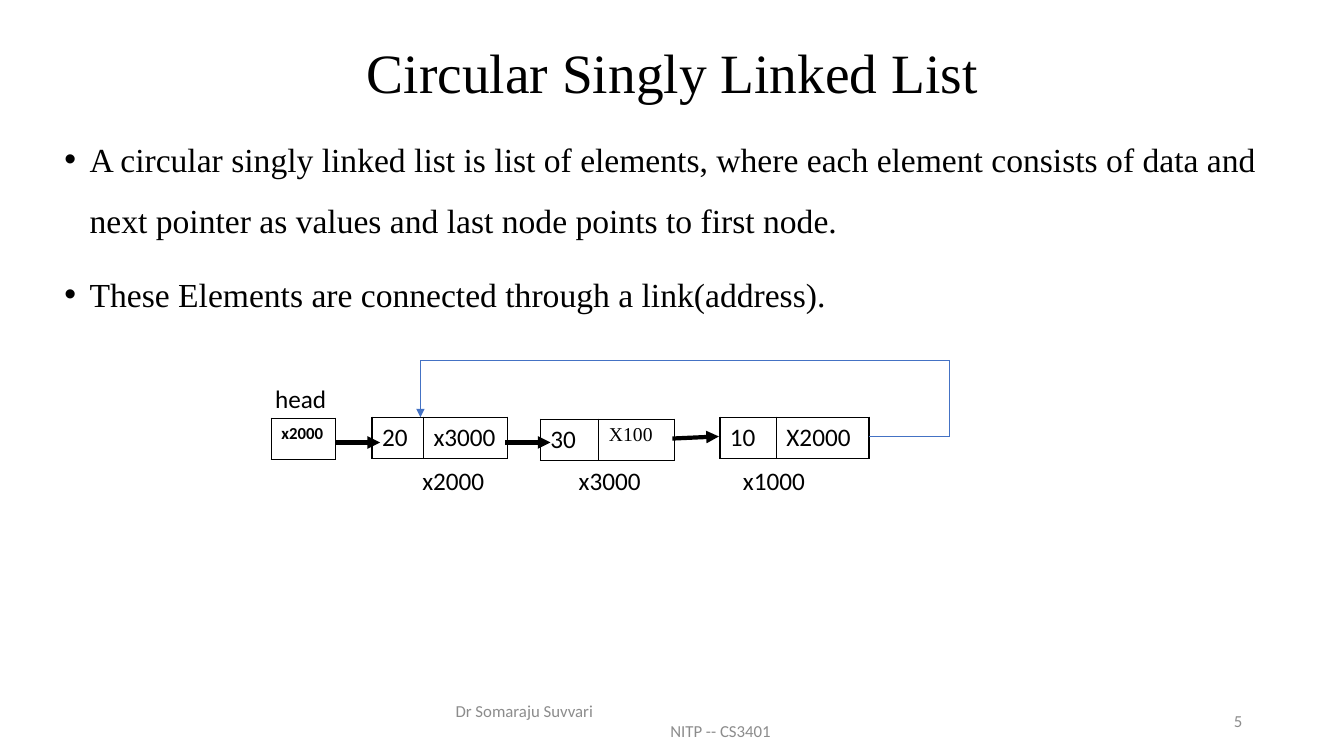
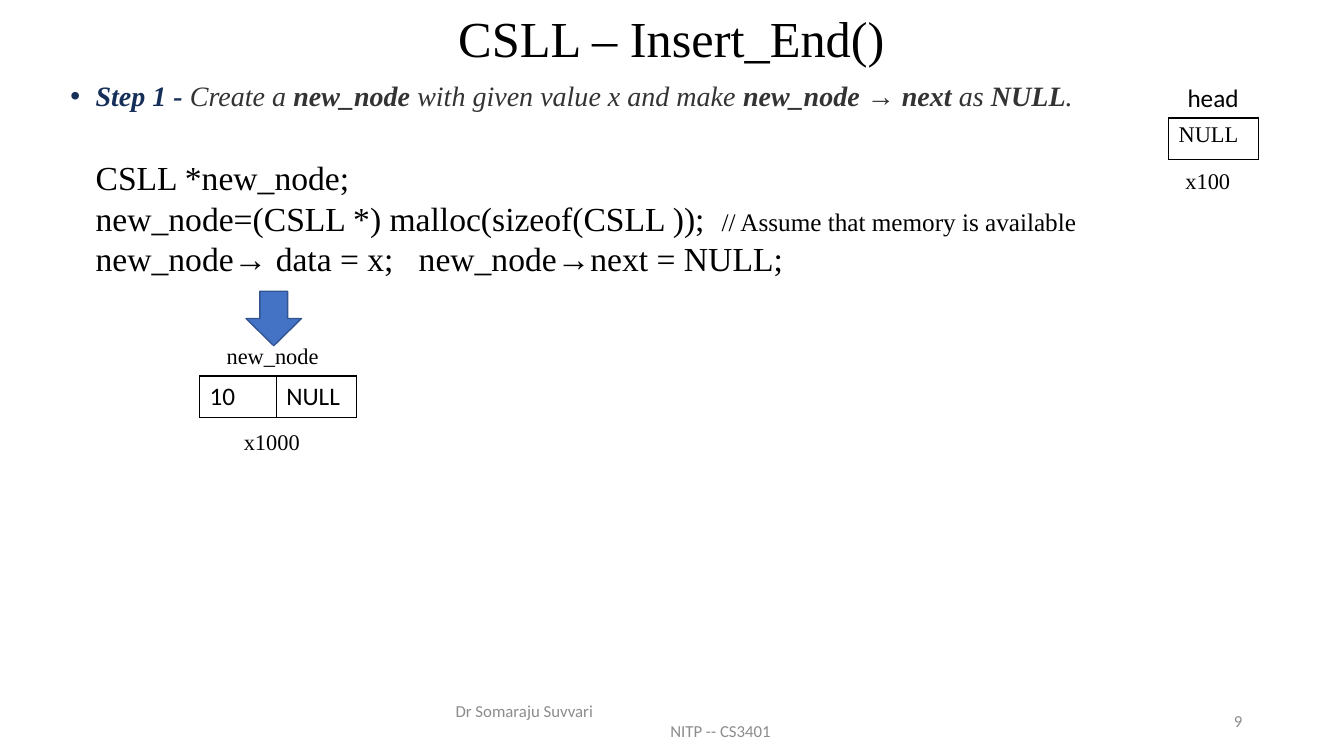
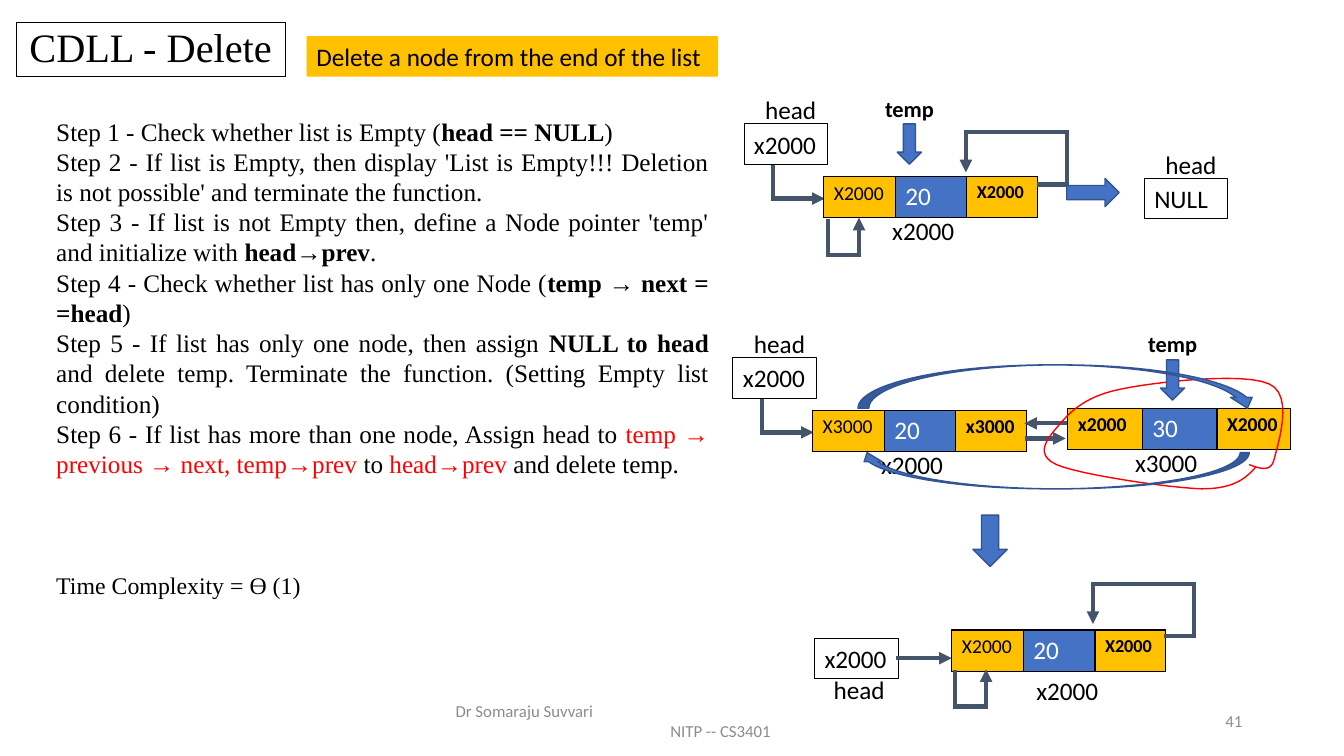
from dataclasses import dataclass
from itertools import pairwise
from typing import Optional

from lxml import etree
from pptx import Presentation
from pptx.dml.color import RGBColor
from pptx.enum.shapes import MSO_CONNECTOR, MSO_SHAPE
from pptx.enum.text import MSO_ANCHOR, MSO_AUTO_SIZE, PP_ALIGN
from pptx.oxml.ns import qn
from pptx.util import Inches, Pt

BLACK = RGBColor(0x00, 0x00, 0x00)
WHITE = RGBColor(0xFF, 0xFF, 0xFF)
GRAY = RGBColor(0x8C, 0x8C, 0x8C)
DARK_GRAY = RGBColor(0x33, 0x33, 0x33)
NAVY = RGBColor(0x16, 0x2F, 0x59)
BLUE = RGBColor(0x44, 0x72, 0xC4)
BLUE_EDGE = RGBColor(0x32, 0x54, 0x91)
SLATE = RGBColor(0x44, 0x54, 0x6A)
GOLD = RGBColor(0xFF, 0xC0, 0x00)
RED = RGBColor(0xFF, 0x00, 0x00)
SERIF = "Times New Roman"
SANS = "Calibri"

LEFT, CENTER = PP_ALIGN.LEFT, PP_ALIGN.CENTER
RIGHT, JUSTIFY = PP_ALIGN.RIGHT, PP_ALIGN.JUSTIFY
TOP, MIDDLE = MSO_ANCHOR.TOP, MSO_ANCHOR.MIDDLE
NO_FIT = MSO_AUTO_SIZE.NONE
STRAIGHT = MSO_CONNECTOR.STRAIGHT
DOWN_ARROW, RIGHT_ARROW = MSO_SHAPE.DOWN_ARROW, MSO_SHAPE.RIGHT_ARROW
CURVED_ARROW = MSO_SHAPE.CURVED_DOWN_ARROW
TITLE_ONLY = 5
ROW_HEIGHT = 0.41
RIGHT_SIDE = 3


@dataclass
class Span:
    text: str
    bold: Optional[bool] = None
    color: Optional[RGBColor] = None
    size: Optional[float] = None


@dataclass
class Cell:
    text: str
    size: float = 18
    font: str = SANS
    bold: bool = False
    color: RGBColor = BLACK
    fill: Optional[RGBColor] = None


def style(font, size, name, color, bold=None, italic=None):
    font.size, font.name, font.bold, font.italic = Pt(size), name, bold, italic
    font.color.rgb = color


def add_bullet(paragraph):
    properties = paragraph._p.get_or_add_pPr()
    properties.set("marL", str(Inches(0.25)))
    properties.set("indent", str(-Inches(0.25)))
    etree.SubElement(properties, qn("a:buFont"), typeface="Arial")
    etree.SubElement(properties, qn("a:buChar"), char="•")


def write(frame, paragraphs, size=18, name=SANS, color=BLACK, bold=None,
          italic=None, align=LEFT, spacing=None, bullet=False):
    """Fill a frame; a paragraph is a string or a list of Spans."""
    for index, content in enumerate(paragraphs):
        paragraph = frame.add_paragraph() if index else frame.paragraphs[0]
        if bullet:
            add_bullet(paragraph)
            if index:
                paragraph.space_before = Pt(10)
        paragraph.alignment = align
        if spacing:
            paragraph.line_spacing = spacing
        style(paragraph.font, size, name, color, bold, italic)
        for span in [Span(content)] if isinstance(content, str) else content:
            run = paragraph.add_run()
            run.text = span.text
            if span.bold is not None:
                run.font.bold = span.bold
            if span.color is not None:
                run.font.color.rgb = span.color
            if span.size is not None:
                run.font.size = Pt(span.size)


def place(shape, left, top, width, height):
    shape.left, shape.top = Inches(left), Inches(top)
    shape.width, shape.height = Inches(width), Inches(height)


def add_text(page, left, top, width, height, paragraphs, anchor=TOP, **look):
    box = page.shapes.add_textbox(
        Inches(left), Inches(top), Inches(width), Inches(height))
    box.text_frame.word_wrap = True
    box.text_frame.vertical_anchor = anchor
    write(box.text_frame, paragraphs, **look)
    return box


def add_outline(box):
    box.line.color.rgb = BLACK
    box.line.width = Pt(0.75)


def add_border(cell):
    properties = cell._tc.get_or_add_tcPr()
    for side in ("a:lnL", "a:lnR", "a:lnT", "a:lnB"):
        line = etree.SubElement(properties, qn(side), w=str(Pt(1)))
        fill = etree.SubElement(line, qn("a:solidFill"))
        etree.SubElement(fill, qn("a:srgbClr"), val=str(BLACK))


def add_node(page, left, top, widths, cells):
    """Draw a list node as a one-row table."""
    table = page.shapes.add_table(
        1, len(cells), Inches(left), Inches(top),
        Inches(sum(widths)), Inches(ROW_HEIGHT)).table
    table.first_row = table.horz_banding = False
    for index, (width, content) in enumerate(zip(widths, cells)):
        table.columns[index].width = Inches(width)
        cell = table.cell(0, index)
        add_border(cell)
        if content.fill is None:
            cell.fill.background()
        else:
            cell.fill.solid()
            cell.fill.fore_color.rgb = content.fill
        write(cell.text_frame, [content.text], content.size, content.font,
              content.color, content.bold)


def add_double_node(page, left, top, previous, data, following, width=0.71):
    """Draw a doubly linked node: previous link, data, next link."""
    previous.fill = following.fill = GOLD
    following.bold = True
    add_node(page, left, top, [width, width, width - 0.01],
             [previous, Cell(data, color=WHITE, fill=BLUE), following])


def add_path(page, points, color=SLATE, width=3, arrow=True):
    """Join the points with straight lines; the last one may have an arrowhead."""
    lines = []
    for (x1, y1), (x2, y2) in pairwise(points):
        line = page.shapes.add_connector(
            STRAIGHT, Inches(x1), Inches(y1), Inches(x2), Inches(y2))
        line.line.color.rgb = color
        line.line.width = Pt(width)
        line.line._get_or_add_ln().set("cap", "sq")
        etree.SubElement(line._element.spPr, qn("a:effectLst"))
        lines.append(line)
    if arrow:
        outline = lines[-1].line._get_or_add_ln()
        etree.SubElement(outline, qn("a:tailEnd"), type="triangle")
    return lines


def add_block_arrow(page, kind, left, top, width, height, rotation=0):
    arrow = page.shapes.add_shape(
        kind, Inches(left), Inches(top), Inches(width), Inches(height))
    arrow.shadow.inherit = False
    arrow.rotation = rotation
    arrow.fill.solid()
    arrow.fill.fore_color.rgb = BLUE
    arrow.line.color.rgb = BLUE_EDGE
    arrow.line.width = Pt(1)


def add_curve(page, start, curves, color):
    """Draw an open outline through cubic Bézier curves."""
    steps = 12
    points = []
    begin = start
    for controls in curves:
        knots = (begin, *controls)
        for step in range(1, steps + 1):
            t = step / steps
            weights = ((1 - t) ** 3, 3 * t * (1 - t) ** 2,
                       3 * t ** 2 * (1 - t), t ** 3)
            points.append(tuple(
                Inches(sum(w * knot[axis] for w, knot in zip(weights, knots)))
                for axis in (0, 1)))
        begin = controls[-1]
    builder = page.shapes.build_freeform(Inches(start[0]), Inches(start[1]))
    builder.add_line_segments(points, close=False)
    outline = builder.convert_to_shape()
    outline.shadow.inherit = False
    outline.fill.background()
    outline.line.color.rgb = color
    outline.line.width = Pt(1)


def add_page(deck, title, title_place, title_size, number):
    page = deck.slides.add_slide(deck.slide_layouts[TITLE_ONLY])
    heading = page.shapes.title
    place(heading, *title_place)
    frame = heading.text_frame
    frame.auto_size, frame.word_wrap = NO_FIT, True
    frame.vertical_anchor = MIDDLE
    write(frame, [title], title_size, SERIF, align=CENTER, spacing=0.9)
    footer = add_text(page, 4.42, 6.95, 4.5, 0.4,
                      ["Dr Somaraju Suvvari", "NITP -- CS3401"],
                      anchor=MIDDLE, size=12, color=GRAY)
    course = footer.text_frame.paragraphs[1]
    course._p.get_or_add_pPr().set("marL", str(Inches(2.13)))
    add_text(page, 9.42, 6.95, 3, 0.4, [number], anchor=MIDDLE, size=12,
             color=GRAY, align=RIGHT)
    return page


def add_pointer_box(page, left, top, value, label_dx=0.11, label_dy=-0.34):
    box = add_text(page, left, top, 0.83, 0.4, [value])
    add_outline(box)
    add_text(page, left + label_dx, top + label_dy, 0.83, 0.4, ["head"])
    return box


def add_head_elbow(page, left, top):
    """Draw the x2000 head box and its elbow arrow to the first node."""
    add_pointer_box(page, left, top, "x2000")
    x, y = left + 0.29, top + 0.74
    add_path(page, [(x, y - 0.31), (x, y), (x + 0.51, y)])


def add_temp(page, left, top):
    add_text(page, left, top, 0.76, 0.37, ["temp"], size=16, bold=True)
    add_block_arrow(page, DOWN_ARROW, left + 0.22, top + 0.34, 0.24, 0.4)


def add_self_loops(page, left, top):
    """Link a single node to itself, next above and previous below."""
    loops = (
        [(2.14, 0.08), (2.41, 0.08), (2.41, -0.44), (1.41, -0.44), (1.41, -0.04)],
        [(0.04, 0.44), (0.04, 0.78), (0.35, 0.78), (0.35, 0.41)],
    )
    for loop in loops:
        add_path(page, [(left + x, top + y) for x, y in loop])


def build_overview(deck):
    page = add_page(deck, "Circular Singly Linked List",
                    (0.92, 0.4, 11.5, 0.7), 39.6, "5")
    add_text(page, 0.54, 1.13, 12.09, 2.2, [
        "A circular singly linked list is list of elements, where each element "
        "consists of data and next pointer as values and last node points to "
        "first node.",
        "These Elements are connected through a link(address).",
    ], size=24, name=SERIF, spacing=1.5, bullet=True)
    add_text(page, 2.63, 3.75, 0.8, 0.4, ["head"])
    add_node(page, 2.69, 4.15, [0.64], [Cell("x2000", 12, bold=True)])
    add_node(page, 3.69, 4.14, [0.51, 0.83], [Cell("20"), Cell("x3000")])
    add_node(page, 5.36, 4.16, [0.58, 0.75],
             [Cell("30"), Cell("X100", 14, SERIF)])
    add_node(page, 7.14, 4.14, [0.56, 0.92], [Cell("10"), Cell("X2000")])
    for left, address in ((4.09, "x2000"), (5.64, "x3000"), (7.27, "x1000")):
        add_text(page, left, 4.57, 1.22, 0.4, [address])
    for link in ([(3.34, 4.39), (3.77, 4.39)], [(5.03, 4.39), (5.46, 4.39)],
                 [(6.69, 4.35), (7.13, 4.33)]):
        add_path(page, link, BLACK)
    add_path(page, [(8.62, 4.33), (9.42, 4.33), (9.42, 3.58), (4.17, 3.58),
                    (4.17, 4.14)], BLUE, 0.5)


def build_insert_end(deck):
    page = add_page(deck, "CSLL – Insert_End()",
                    (0.91, 0.15, 11.5, 0.51), 36, "9")
    add_text(page, 0.6, 0.77, 11, 0.5, [[
        Span("Step 1 - ", True),
        Span("Create a ", False, DARK_GRAY),
        Span("new_node ", True, DARK_GRAY),
        Span("with given value x and make ", False, DARK_GRAY),
        Span("new_node → next", True, DARK_GRAY),
        Span(" as ", False, DARK_GRAY),
        Span("NULL", True, DARK_GRAY),
        Span(".", False, DARK_GRAY),
    ]], size=20, name=SERIF, color=NAVY, bold=True, italic=True,
        align=JUSTIFY, spacing=0.9, bullet=True)
    add_text(page, 0.85, 1.51, 10.58, 1.31, [
        "CSLL *new_node;",
        [Span("new_node=(CSLL *) malloc(sizeof(CSLL ));  "),
         Span("// Assume that memory is available", size=18)],
        "new_node→ data = x;   new_node→next = NULL;",
    ], size=24, name=SERIF)
    add_node(page, 1.98, 3.73, [0.76, 0.8], [Cell("10"), Cell("NULL")])
    add_block_arrow(page, DOWN_ARROW, 2.44, 2.89, 0.55, 0.54)
    add_text(page, 11.68, 0.77, 0.8, 0.4, ["head"])
    add_node(page, 11.59, 1.17, [0.89], [Cell("NULL", 16, SERIF)])
    for left, top, width, label in ((2.32, 4.2, 0.78, "x1000"),
                                    (2.15, 3.35, 1.13, "new_node"),
                                    (11.66, 1.61, 0.83, "x100")):
        add_text(page, left, top, width, 0.37, [label], size=16, name=SERIF)


def add_delete_steps(page):
    add_text(page, 0.46, 1.1, 6.67, 3.74, [
        [Span("Step 1 - Check whether list is Empty ("),
         Span("head == NULL", True), Span(")")],
        "Step 2 - If list is Empty, then display 'List is Empty!!! Deletion is "
        "not possible' and terminate the function.",
        [Span("Step 3 - If list is not Empty then, define a Node pointer 'temp' "
              "and initialize with "),
         Span("head→prev", True), Span(".")],
        [Span("Step 4 - Check whether list has only one Node ("),
         Span("temp → next = =head", True), Span(")")],
        [Span("Step 5 - If list has only one node, then assign "),
         Span("NULL to head ", True),
         Span("and delete temp. Terminate the function. (Setting Empty list "
              "condition)")],
        [Span("Step 6 - If list has more than one node, Assign head to "),
         Span("temp → previous → next, temp→prev", color=RED), Span(" to "),
         Span("head→prev ", color=RED), Span("and delete temp.")],
    ], name=SERIF, align=JUSTIFY)
    add_text(page, 0.46, 5.61, 2.67, 0.39, ["Time Complexity = Ɵ (1)"],
             size=17, name=SERIF)


def build_delete(deck):
    page = add_page(deck, "CDLL - Delete", (0.16, 0.22, 2.67, 0.54), 28.8, "41")
    add_outline(page.shapes.title)
    banner = add_text(page, 3.04, 0.36, 4.08, 0.4,
                      ["Delete a node from the end of the list"])
    banner.fill.solid()
    banner.fill.fore_color.rgb = GOLD
    add_delete_steps(page)

    # One node: the list becomes empty
    add_head_elbow(page, 7.38, 1.23)
    add_double_node(page, 8.17, 1.75, Cell("X2000", 14), "20", Cell("X2000", 13))
    add_self_loops(page, 8.17, 1.75)
    add_temp(page, 8.68, 0.89)
    add_block_arrow(page, RIGHT_ARROW, 10.58, 1.77, 0.52, 0.28)
    add_pointer_box(page, 11.35, 1.77, "NULL")

    # Two nodes: the last one is unlinked
    add_head_elbow(page, 7.27, 3.55)
    add_double_node(page, 8.06, 4.07, Cell("X3000", 14), "20", Cell("x3000", 14))
    add_double_node(page, 10.59, 4.05, Cell("x2000", 14, bold=True), "30",
                    Cell("X2000", 14), width=0.74)
    add_path(page, [(10.56, 4.2), (10.16, 4.2)])
    add_path(page, [(10.19, 4.35), (10.57, 4.35)])
    add_curve(page, (12.39, 4.61), [
        ((12.5, 4.65), (12.61, 4.69), (12.64, 4.55)),
        ((12.67, 4.42), (12.84, 3.92), (12.59, 3.81)),
        ((12.33, 3.69), (11.46, 3.79), (11.12, 3.86)),
        ((10.77, 3.93), (10.62, 4.08), (10.51, 4.21)),
        ((10.41, 4.33), (10.24, 4.5), (10.48, 4.61)),
        ((10.71, 4.71), (11.59, 4.84), (11.92, 4.85)),
        ((12.25, 4.85), (12.36, 4.74), (12.46, 4.63)),
    ], RED)
    add_temp(page, 11.29, 3.23)
    add_block_arrow(page, DOWN_ARROW, 9.65, 5.11, 0.34, 0.51)

    # The remaining node
    head = add_pointer_box(page, 8.08, 6.33, "x2000", 0.09, 0.31)
    add_double_node(page, 9.44, 6.25, Cell("X2000", 14), "20", Cell("X2000", 13))
    link, = add_path(page, [(8.91, 6.53), (9.44, 6.53)])
    link.begin_connect(head, RIGHT_SIDE)
    add_self_loops(page, 9.43, 6.23)

    for left, top, address in ((8.75, 2.09, "x2000"), (8.64, 4.41, "x2000"),
                               (11.16, 4.39, "x3000"), (10.18, 6.65, "x2000")):
        add_text(page, left, top, 0.9, 0.4, [address])
    add_block_arrow(page, CURVED_ARROW, 8.51, 3.62, 3.97, 0.43)
    add_block_arrow(page, CURVED_ARROW, 8.51, 4.49, 3.88, 0.36, rotation=180)


def main():
    deck = Presentation()
    deck.slide_width, deck.slide_height = Inches(13.33), Inches(7.5)
    build_overview(deck)
    build_insert_end(deck)
    build_delete(deck)
    deck.save("out.pptx")


if __name__ == "__main__":
    main()
